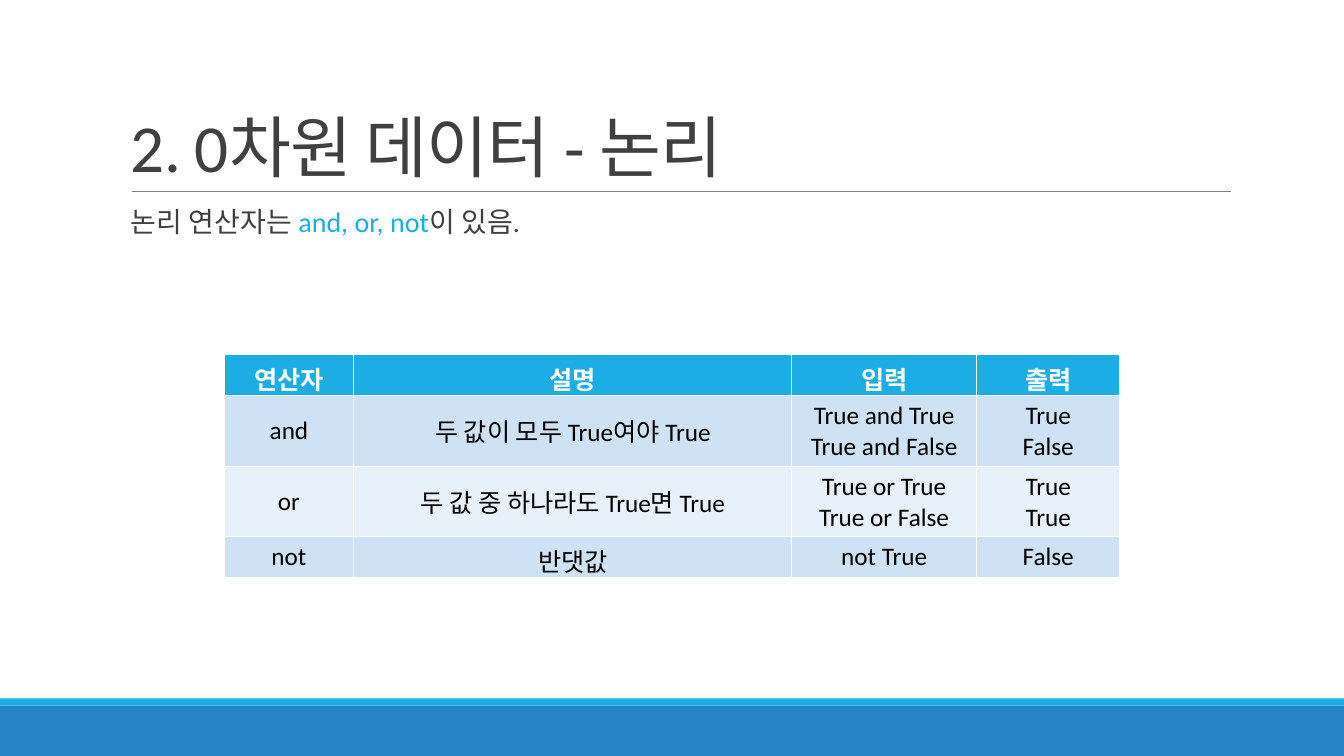
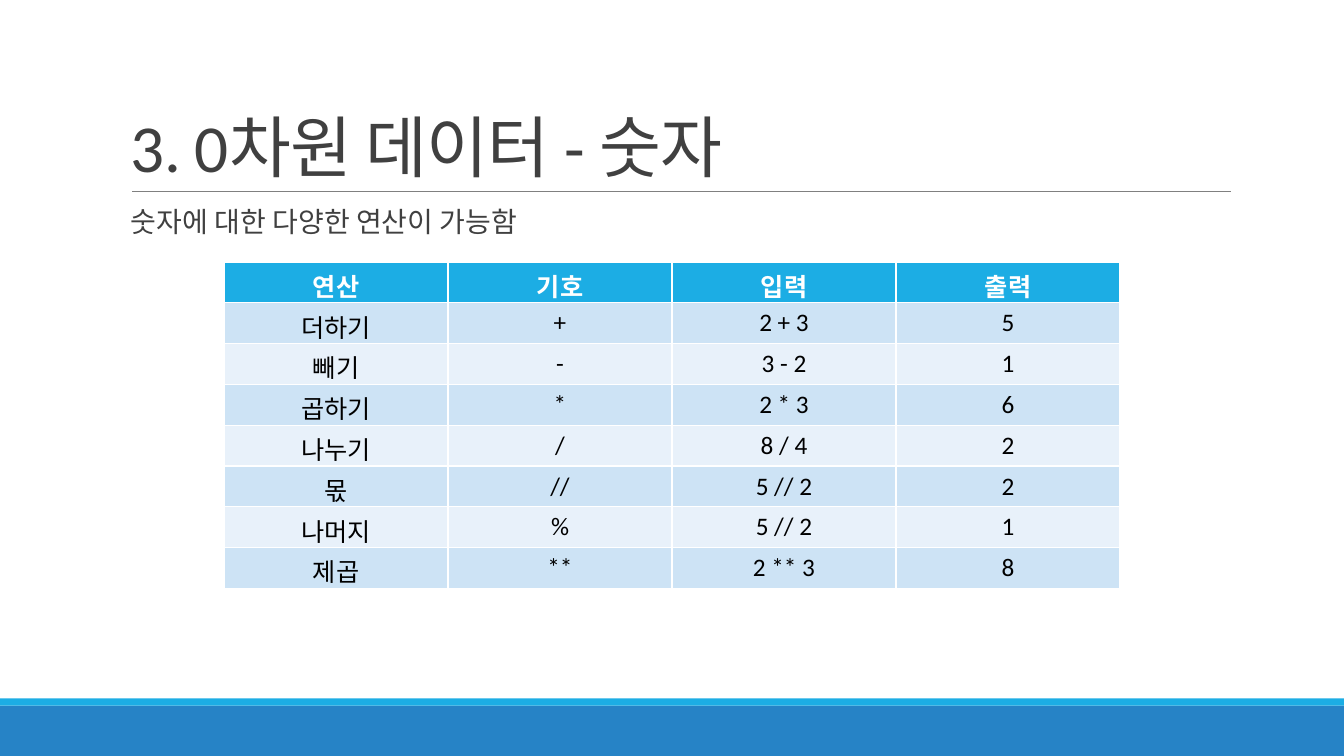
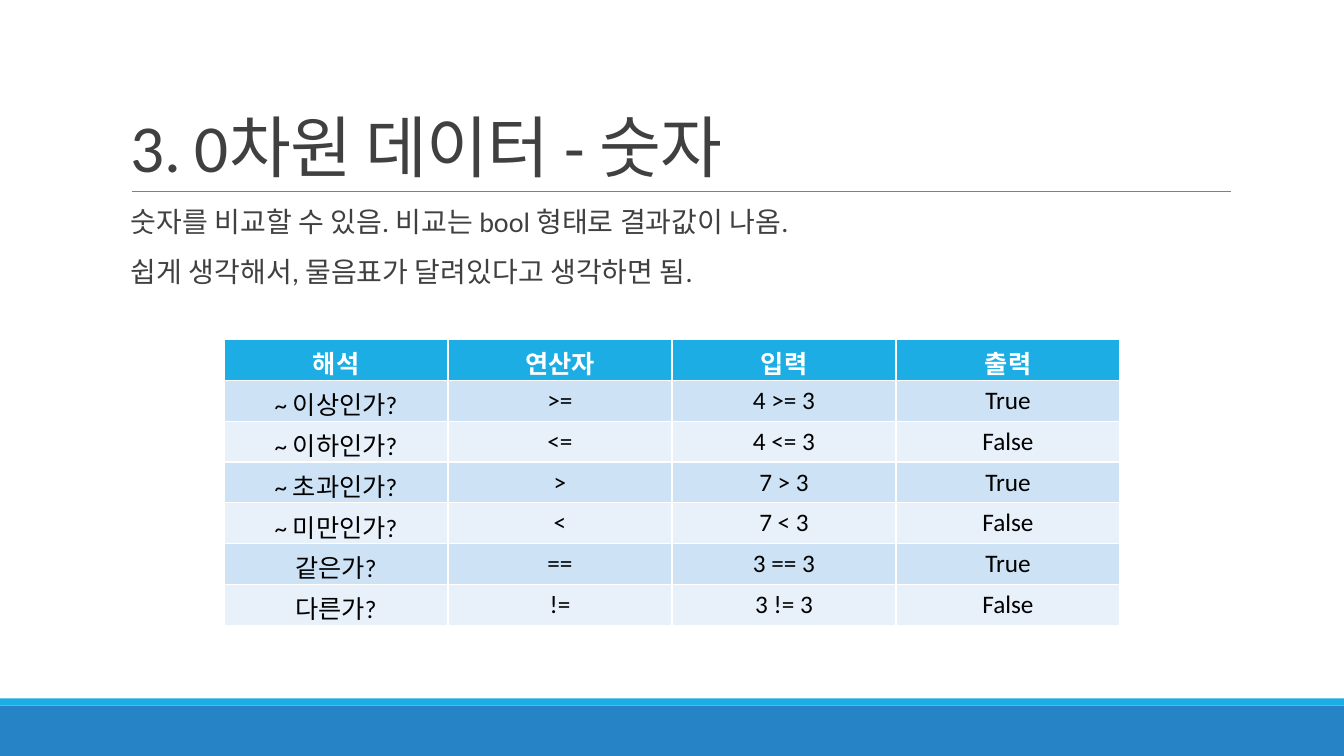
from lxml.etree import SubElement
from pptx import Presentation
from pptx.dml.color import RGBColor
from pptx.enum.shapes import MSO_CONNECTOR as Connector, MSO_SHAPE as Shape
from pptx.enum.text import MSO_ANCHOR as Anchor, PP_ALIGN as Align
from pptx.oxml.ns import qn
from pptx.util import Inches, Pt

SKY = RGBColor(0x1C, 0xAD, 0xE4)
BLUE = RGBColor(0x26, 0x83, 0xC6)
GRAY = RGBColor(0x80, 0x80, 0x80)
DARK = RGBColor(0x40, 0x40, 0x40)
BLACK = RGBColor(0, 0, 0)
WHITE = RGBColor(0xFF, 0xFF, 0xFF)
ROW_FILLS = [RGBColor(0xE8, 0xF1, 0xFA), RGBColor(0xCD, 0xE3, 0xF5)]
FONT = "Calibri"

presentation = Presentation()
presentation.slide_width = Inches(13.33)
presentation.slide_height = Inches(7.5)
COLUMN = presentation.slide_width / 12
ROW = presentation.slide_height / 15


def grid(left, top, width, height):
    return int(left * COLUMN), int(top * ROW), int(width * COLUMN), int(height * ROW)


def style(paragraph, size, color, bold=False):
    paragraph.font.name = FONT
    paragraph.font.size = Pt(size)
    paragraph.font.color.rgb = color
    paragraph.font.bold = bold


BANDS = [(14, 1, BLUE), (13.86, 0.14, SKY)]
EVEN_COLUMNS = [2, 2, 2, 2]

PAGES = [
    {
        "title": "2. 0차원 데이터 - 논리",
        "body": [[("논리 연산자는 ", DARK), ("and, or, not", SKY), ("이 있음.", DARK)]],
        "top": 7.04,
        "anchor": Anchor.MIDDLE,
        "columns": [1.16, 3.91, 1.65, 1.28],
        "rows": [
            ["연산자", "설명", "입력", "출력"],
            ["and", "두 값이 모두 True여야 True", "True and True\nTrue and False", "True\nFalse"],
            ["or", "두 값 중 하나라도 True면 True", "True or True\nTrue or False", "True\nTrue"],
            ["not", "반댓값", "not True", "False"],
        ],
    },
    {
        "title": "3. 0차원 데이터 - 숫자",
        "body": [[("숫자에 대한 다양한 연산이 가능함", DARK)]],
        "top": 5.2,
        "anchor": Anchor.TOP,
        "columns": EVEN_COLUMNS,
        "rows": [
            ["연산", "기호", "입력", "출력"],
            ["더하기", "+", "2 + 3", "5"],
            ["빼기", "-", "3 - 2", "1"],
            ["곱하기", "*", "2 * 3", "6"],
            ["나누기", "/", "8 / 4", "2"],
            ["몫", "//", "5 // 2", "2"],
            ["나머지", "%", "5 // 2", "1"],
            ["제곱", "**", "2 ** 3", "8"],
        ],
    },
    {
        "title": "3. 0차원 데이터 - 숫자",
        "body": [
            [("숫자를 비교할 수 있음. 비교는 bool 형태로 결과값이 나옴.", DARK)],
            [("쉽게 생각해서, 물음표가 달려있다고 생각하면 됨.", DARK)],
        ],
        "top": 6.74,
        "anchor": Anchor.MIDDLE,
        "columns": EVEN_COLUMNS,
        "rows": [
            ["해석", "연산자", "입력", "출력"],
            ["~ 이상인가?", ">=", "4 >= 3", "True"],
            ["~ 이하인가?", "<=", "4 <= 3", "False"],
            ["~ 초과인가?", ">", "7 > 3", "True"],
            ["~ 미만인가?", "<", "7 < 3", "False"],
            ["같은가?", "==", "3 == 3", "True"],
            ["다른가?", "!=", "3 != 3", "False"],
        ],
    },
]

for page in PAGES:
    slide = presentation.slides.add_slide(presentation.slide_layouts[6])

    for top, height, color in BANDS:
        band = slide.shapes.add_shape(Shape.RECTANGLE, *grid(0, top, 12, height))
        band.shadow.inherit = False
        band.fill.solid()
        band.fill.fore_color.rgb = color
        band.line.fill.background()

    left, top, right, bottom = grid(1.18, 3.8, 10.99, 3.8)
    rule = slide.shapes.add_connector(Connector.STRAIGHT, left, top, right, bottom)
    rule.line.color.rgb = GRAY
    rule.line.width = Pt(0.5)
    SubElement(rule._element.spPr, qn("a:effectLst"))

    title = slide.shapes.add_textbox(*grid(1.08, 0.62, 9.9, 3.18)).text_frame
    title.word_wrap = True
    title.vertical_anchor = Anchor.BOTTOM
    paragraph = title.paragraphs[0]
    paragraph.line_spacing = 0.85
    style(paragraph, 48, DARK)
    run = paragraph.add_run()
    run.text = page["title"]
    run._r.get_or_add_rPr().set("spc", "-50")

    body = slide.shapes.add_textbox(*grid(1.08, 4.04, 9.9, 8.8)).text_frame
    body.word_wrap = True
    body.margin_right = 0
    for index, pieces in enumerate(page["body"]):
        paragraph = body.add_paragraph() if index else body.paragraphs[0]
        paragraph.line_spacing = 0.9
        paragraph.space_before = Pt(12)
        paragraph.space_after = Pt(2)
        style(paragraph, 20, DARK)
        for text, color in pieces:
            run = paragraph.add_run()
            run.text = text
            run.font.color.rgb = color

    rows, columns = page["rows"], page["columns"]
    place = grid(2, page["top"], sum(columns), 0.81 * len(rows))
    table = slide.shapes.add_table(len(rows), len(columns), *place).table
    for column, width in zip(table.columns, columns):
        column.width = int(width * COLUMN)
    for row_index, texts in enumerate(rows):
        header = row_index == 0
        for column_index, text in enumerate(texts):
            cell = table.cell(row_index, column_index)
            cell.text = text
            cell.vertical_anchor = page["anchor"]
            cell.fill.solid()
            cell.fill.fore_color.rgb = SKY if header else ROW_FILLS[row_index % 2]
            for paragraph in cell.text_frame.paragraphs:
                paragraph.alignment = Align.CENTER
                style(paragraph, 18, WHITE if header else BLACK, header)

presentation.save("out.pptx")
